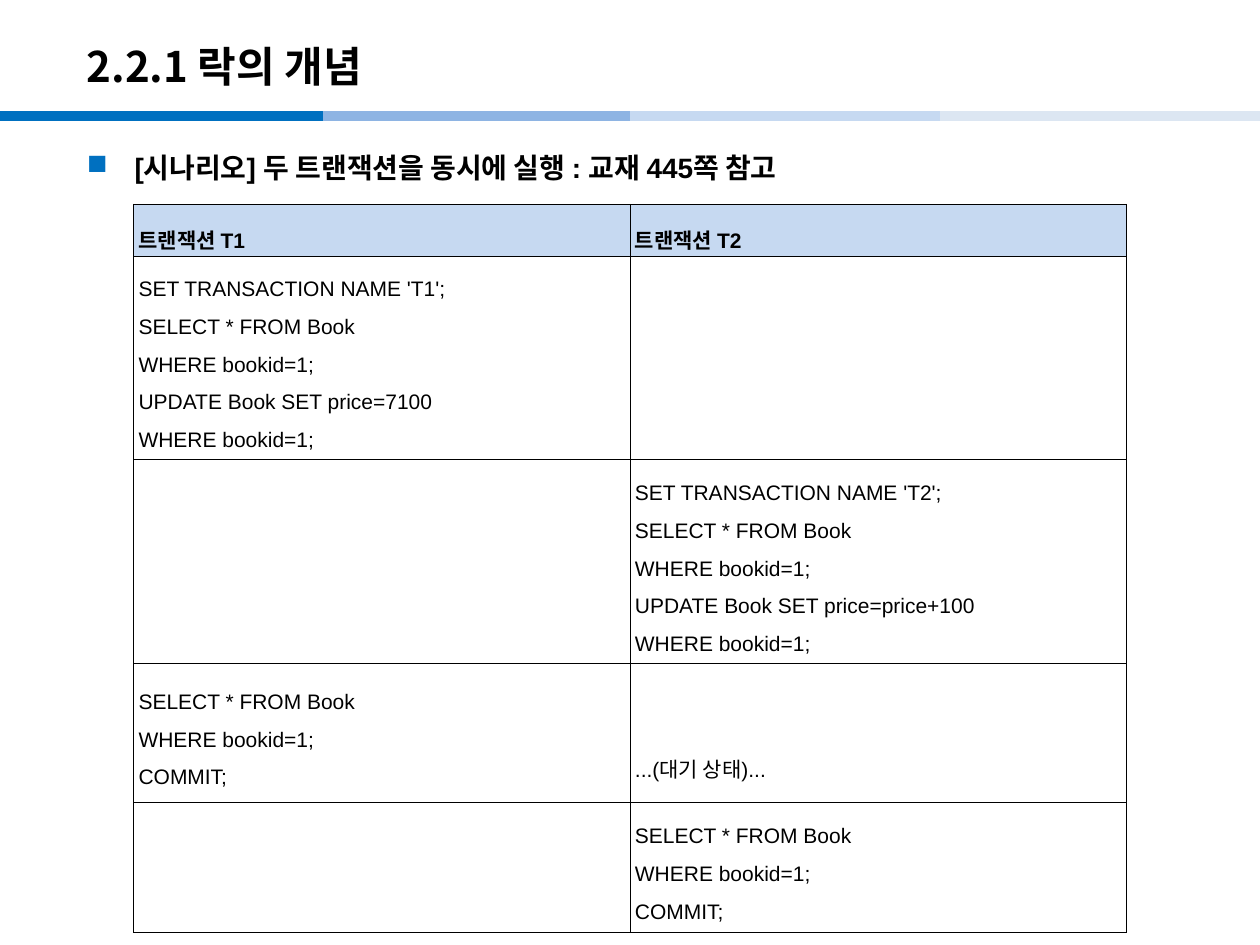
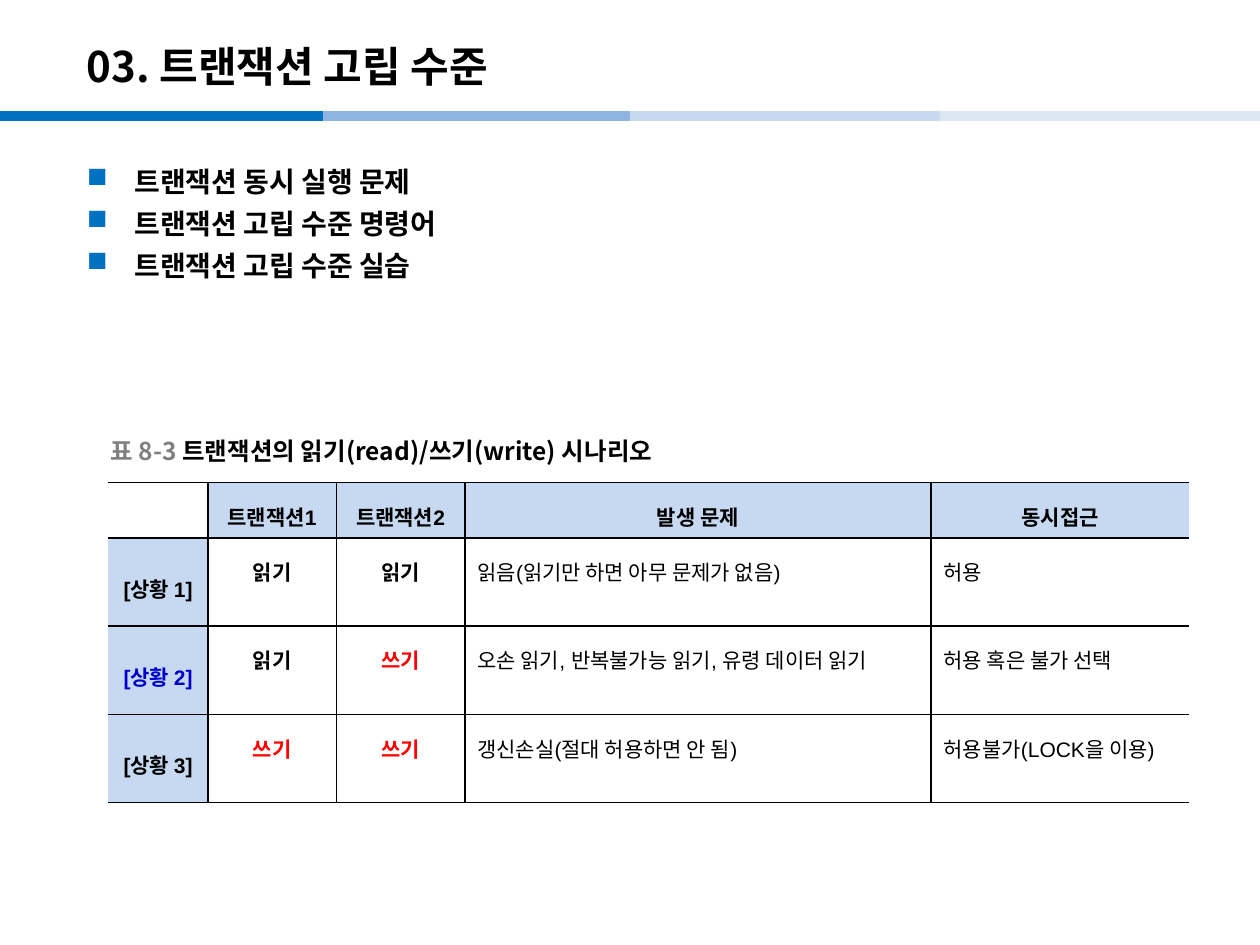
"""Build two lecture slides on transaction locks and isolation levels."""
from lxml.etree import SubElement
from pptx import Presentation
from pptx.dml.color import RGBColor
from pptx.enum.shapes import MSO_CONNECTOR
from pptx.enum.text import MSO_ANCHOR, PP_ALIGN
from pptx.oxml import parse_xml
from pptx.oxml.ns import nsdecls, qn
from pptx.util import Inches, Pt

COLORS = {
    "black": "000000", "white": "FFFFFF", "gray": "808080", "red": "FF0000",
    "navy": "0000CC", "blue": "0070C0", "sky": "8EB4E3", "pale": "C6D9F1", "mist": "DCE6F2",
}
SANS, KOREAN = "Arial", "Noto Sans CJK KR"
BAND = [(0, "blue"), (2.56, "sky"), (5, "pale"), (7.46, "mist")]
BAND_WIDTH, BAND_TOP = 2.56, 0.92


def style(paragraph, size, color="black", bold=True, font=SANS, spacing=None, align=None):
    paragraph.line_spacing = spacing
    paragraph.alignment = align
    paragraph.font.size = Pt(size)
    paragraph.font.bold = bold
    paragraph.font.name = font
    paragraph.font.color.rgb = RGBColor.from_string(COLORS[color])
    properties = paragraph._p.pPr.find(qn("a:defRPr"))
    SubElement(properties, qn("a:ea")).set("typeface", KOREAN)


def add_grid(page, left, top, widths, heights, texts, line_width, open_sides=False):
    frame = page.shapes.add_table(len(heights), len(widths), Inches(left), Inches(top),
                                  Inches(sum(widths)), Inches(sum(heights)))
    table = frame.table
    table.first_row = table.horz_banding = False
    for column, width in zip(table.columns, widths):
        column.width = Inches(width)
    for row, height in zip(table.rows, heights):
        row.height = Inches(height)
    for row_index, row_texts in enumerate(texts):
        for column_index, text in enumerate(row_texts):
            cell = table.cell(row_index, column_index)
            cell.text = text
            cell.fill.background()
            hidden = []
            if open_sides and column_index == 0:
                hidden.append("L")
            if open_sides and column_index == len(widths) - 1:
                hidden.append("R")
            for position, side in enumerate("LRTB"):
                paint = "<a:noFill/>"
                if side not in hidden:
                    paint = f'<a:solidFill><a:srgbClr val="{COLORS["black"]}"/></a:solidFill>'
                border = f'<a:ln{side} {nsdecls("a")} w="{Pt(line_width)}">{paint}</a:ln{side}>'
                cell._tc.get_or_add_tcPr().insert(position, parse_xml(border))
    return table


deck = Presentation()
deck.slide_width, deck.slide_height = Inches(10), Inches(7.5)

contents = [
    ("2.2.1 락의 개념", 1.08, ["[시나리오] 두 트랜잭션을 동시에 실행 : 교재 445쪽 참고"]),
    ("03. 트랜잭션 고립 수준", 1.19,
     ["트랜잭션 동시 실행 문제", "트랜잭션 고립 수준 명령어", "트랜잭션 고립 수준 실습"]),
]
pages = []
for title, body_top, bullets in contents:
    page = deck.slides.add_slide(deck.slide_layouts[6])
    pages.append(page)
    for start, color in BAND:
        line = page.shapes.add_connector(
            MSO_CONNECTOR.STRAIGHT, Inches(start), Inches(BAND_TOP),
            Inches(start + BAND_WIDTH), Inches(BAND_TOP))
        line.line.color.rgb = RGBColor.from_string(COLORS[color])
        line.line.width = Pt(6)
        SubElement(line._element.spPr, qn("a:effectLst"))

    box = page.shapes.add_textbox(Inches(0.59), Inches(0.22), Inches(8.27), Inches(0.6))
    box.text_frame.word_wrap = True
    box.text_frame.vertical_anchor = MSO_ANCHOR.MIDDLE
    box.text_frame.text = title
    style(box.text_frame.paragraphs[0], 24, font=KOREAN)

    box = page.shapes.add_textbox(Inches(0.59), Inches(body_top), Inches(8.82), Inches(5.98))
    box.text_frame.word_wrap = True
    box.text_frame.text = "\n".join(bullets)
    for paragraph in box.text_frame.paragraphs:
        properties = paragraph._p.get_or_add_pPr()
        properties.set("marL", str(Inches(0.38)))
        properties.set("indent", str(-Inches(0.38)))
        bullet_color = SubElement(properties, qn("a:buClr"))
        SubElement(bullet_color, qn("a:srgbClr")).set("val", COLORS["blue"])
        SubElement(properties, qn("a:buChar")).set("char", "■")
        style(paragraph, 16, spacing=1.25)

lock_page, isolation_page = pages

read_book = "SELECT * FROM Book\nWHERE bookid=1;\n"
begin = "SET TRANSACTION NAME '{}';\n" + read_book + "UPDATE Book SET price={}\nWHERE bookid=1;"
finish = read_book + "COMMIT;"
schedule = [
    ["트랜잭션 T1", "트랜잭션 T2"],
    [begin.format("T1", "7100"), ""],
    ["", begin.format("T2", "price+100")],
    [finish, "...(대기 상태)..."],
    ["", finish],
]
table = add_grid(lock_page, 1.06, 1.62, [3.94] * 2, [0.41, 1.58, 1.52, 1.1, 1.03], schedule, 0.28)
for row_index, row in enumerate(table.rows):
    for cell in row.cells:
        cell.margin_left = cell.margin_right = Inches(0.04)
        cell.margin_top = cell.margin_bottom = Inches(0.01)
        cell.vertical_anchor = MSO_ANCHOR.MIDDLE
        if row_index == 0:
            cell.fill.solid()
            cell.fill.fore_color.rgb = RGBColor.from_string(COLORS["pale"])
        for paragraph in cell.text_frame.paragraphs:
            style(paragraph, 12, bold=row_index == 0, spacing=1.6, align=PP_ALIGN.JUSTIFY)
table.cell(3, 1).margin_top = Inches(0.43)

scenarios = [
    ["", "트랜잭션1", "트랜잭션2", "발생 문제", "동시접근"],
    ["[상황 1]", "읽기", "읽기", "읽음(읽기만 하면 아무 문제가 없음)", "허용"],
    ["[상황 2]", "읽기", "쓰기", "오손 읽기, 반복불가능 읽기, 유령 데이터 읽기", "허용 혹은 불가 선택"],
    ["[상황 3]", "쓰기", "쓰기", "갱신손실(절대 허용하면 안 됨)", "허용불가(LOCK을 이용)"],
]
accents = {"쓰기": "red", "[상황 2]": "navy"}
table = add_grid(isolation_page, 0.86, 3.83, [0.79, 1.02, 1.02, 3.7, 2.05],
                 [0.44, 0.7, 0.7, 0.7], scenarios, 1, open_sides=True)
for row_index, row in enumerate(table.rows):
    for column_index, cell in enumerate(row.cells):
        header = row_index == 0 or column_index == 0
        centered = row_index == 0 or column_index < 3
        if header:
            cell.vertical_anchor = MSO_ANCHOR.MIDDLE
        if row_index or column_index:
            cell.fill.solid()
            cell.fill.fore_color.rgb = RGBColor.from_string(COLORS["pale" if header else "white"])
        style(cell.text_frame.paragraphs[0], 12, accents.get(cell.text, "black"), centered,
              spacing=1.4, align=PP_ALIGN.CENTER if centered else PP_ALIGN.LEFT)

caption = isolation_page.shapes.add_textbox(Inches(0.78), Inches(3.42), Inches(5), Inches(0.31))
caption.text_frame.word_wrap = True
caption.text_frame.vertical_anchor = MSO_ANCHOR.MIDDLE
paragraph = caption.text_frame.paragraphs[0]
style(paragraph, 14, font=KOREAN)
for text, color in [("표 8-3 ", "gray"), ("트랜잭션의 읽기(read)/쓰기(write) 시나리오", "black")]:
    span = paragraph.add_run()
    span.text = text
    span.font.color.rgb = RGBColor.from_string(COLORS[color])

deck.save("out.pptx")
